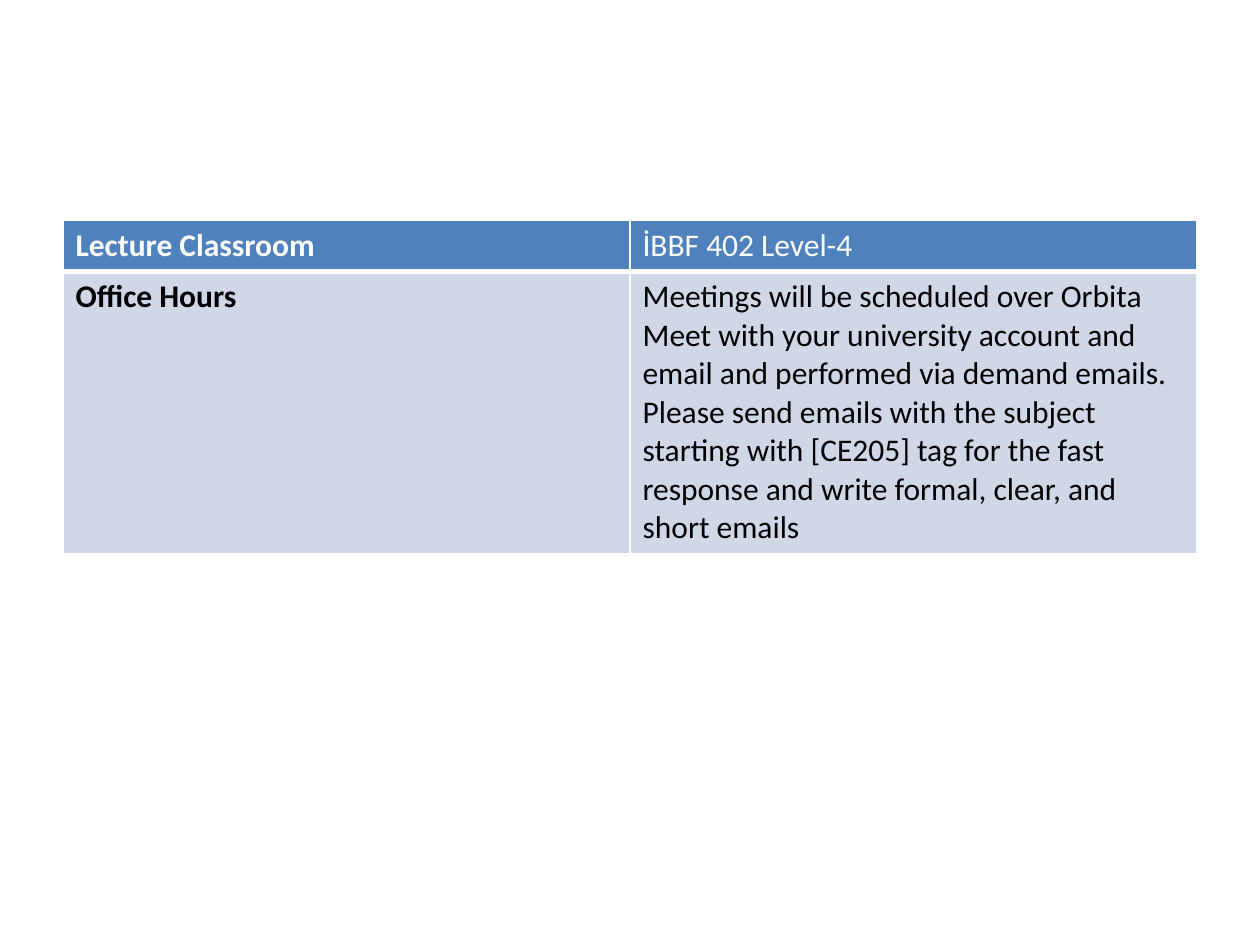
from dataclasses import dataclass

from lxml.etree import SubElement
from pptx import Presentation
from pptx.dml.color import RGBColor as Color
from pptx.oxml.ns import qn
from pptx.util import Inches, Pt


@dataclass(frozen=True)
class Theme:
    font: str = "Calibri"
    size: int = 18
    header_fill: str = "4F81BD"
    body_fill: str = "D0D8E8"
    header_text: str = "FFFFFF"
    body_text: str = "000000"
    border: str = "FFFFFF"
    thin: int = 1
    thick: int = 3


theme = Theme()


def write_text(frame, text, *, color, bold=False):
    span = frame.paragraphs[0].add_run()
    span.text = text
    span.font.name = theme.font
    span.font.size = Pt(theme.size)
    span.font.bold = bold
    span.font.color.rgb = Color.from_string(color)


def add_border(cell, side, width):
    properties = cell._tc.get_or_add_tcPr()
    line = SubElement(properties, qn(f"a:ln{side}"), w=str(Pt(width)))
    fill = SubElement(line, qn("a:solidFill"))
    SubElement(fill, qn("a:srgbClr"), val=theme.border)


deck = Presentation()
deck.slide_width = Inches(10)
deck.slide_height = Inches(7.5)
page = deck.slides.add_slide(deck.slide_layouts[6])

rows = [
    ("Lecture Classroom", "İBBF 402 Level-4"),
    (
        "Office Hours",
        "Meetings will be scheduled over Orbita Meet with your university account "
        "and email and performed via demand emails. Please send emails with the "
        "subject starting with [CE205] tag for the fast response and write formal, "
        "clear, and short emails",
    ),
]
row_heights = [0.4, 2.24]
row_styles = [
    (theme.header_fill, theme.header_text, theme.thick),
    (theme.body_fill, theme.body_text, theme.thin),
]

table = page.shapes.add_table(
    len(rows), 2, Inches(0.5), Inches(1.75), Inches(9), Inches(sum(row_heights))
).table

for row, height, texts, style in zip(table.rows, row_heights, rows, row_styles):
    row.height = Inches(height)
    fill, color, bottom = style
    for column, (cell, text) in enumerate(zip(row.cells, texts)):
        for side in "LRTB":
            add_border(cell, side, bottom if side == "B" else theme.thin)
        cell.fill.solid()
        cell.fill.fore_color.rgb = Color.from_string(fill)
        write_text(cell.text_frame, text, color=color, bold=column == 0)

deck.save("out.pptx")
